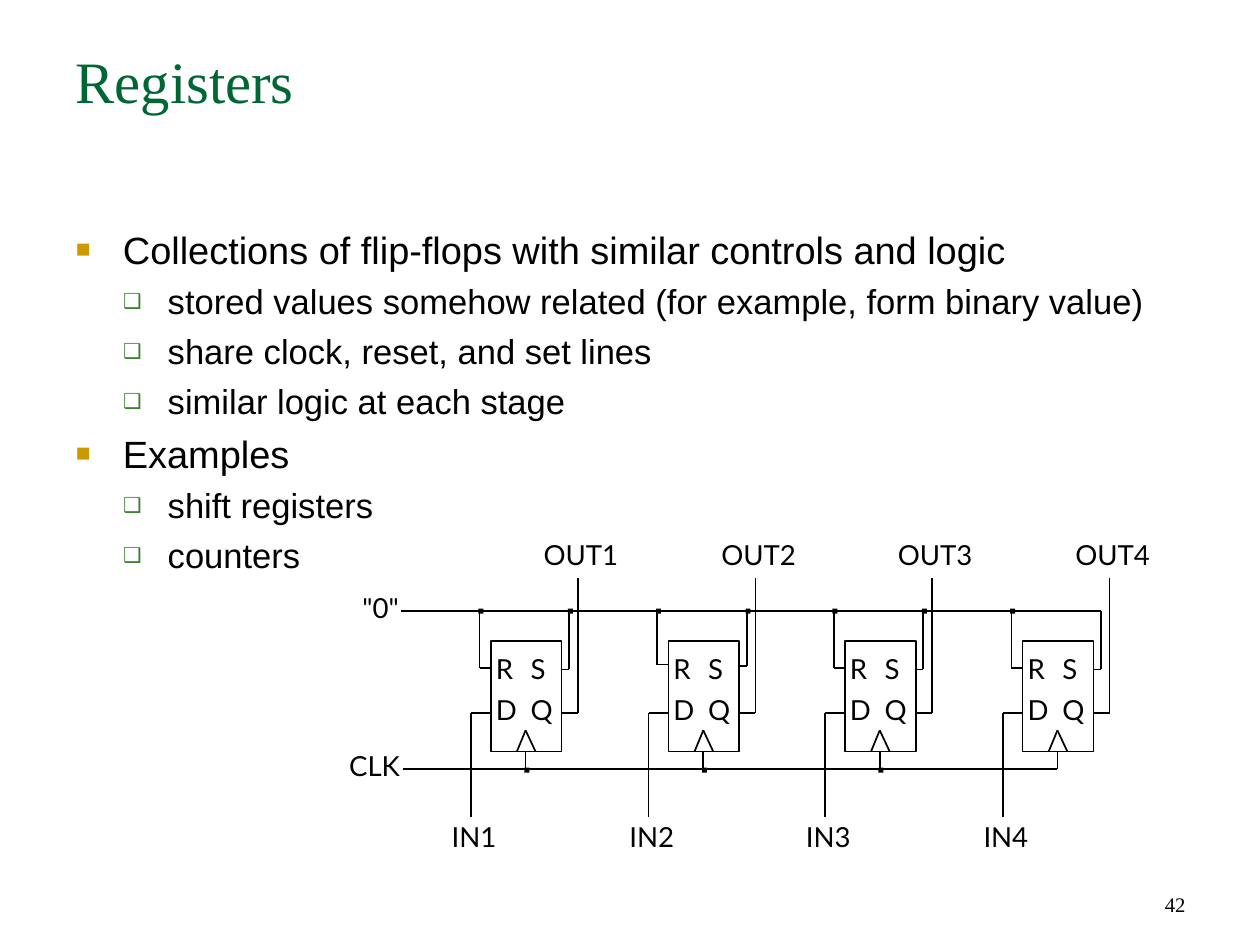
"""Builds the Registers slide: a bullet list and a four-stage register circuit."""
from lxml import etree
from pptx import Presentation
from pptx import util as u
from pptx.dml.color import RGBColor
from pptx.enum import shapes, text
from pptx.oxml import ns

BLACK = RGBColor(0x00, 0x00, 0x00)
WHITE = RGBColor(0xFF, 0xFF, 0xFF)
GREEN = RGBColor(0x00, 0x66, 0x33)
GOLD = RGBColor(0xCC, 0x99, 0x00)
LEAF = RGBColor(0x3B, 0x81, 0x2F)
LEFT, CENTER, RIGHT = text.PP_ALIGN.LEFT, text.PP_ALIGN.CENTER, text.PP_ALIGN.RIGHT

LEVELS = (
    dict(size=22, margin=0.38, hang=0.38, char="■", color=GOLD, percent=65),
    dict(size=20, margin=0.74, hang=0.36, char="❑", color=LEAF, percent=60),
)
BULLETS = (
    (0, "Collections of flip-flops with similar controls and logic"),
    (1, "stored values somehow related (for example, form binary value)"),
    (1, "share clock, reset, and set lines"),
    (1, "similar logic at each stage"),
    (0, "Examples"),
    (1, "shift registers"),
    (1, "counters"),
)
STAGES = ((3.95, 5.38), (5.38, 5.35), (6.8, 5.38), (8.23, 5.38))
ZERO_Y, CLOCK_Y, DATA_Y = 4.92, 6.19, 5.74
BOX_TOP, BOX_BOTTOM, BOX_WIDTH = 5.16, 6.05, 0.57


def write(p, content, size=16, font="Lato", color=BLACK, align=LEFT, line=None, before=0):
    p.alignment = align
    p.space_before = u.Pt(before)
    if line:
        p.line_spacing = u.Pt(line)
    r = p.add_run()
    r.text = content
    r.font.size = u.Pt(size)
    r.font.name = font
    r.font.color.rgb = color


class Deck:
    def __init__(self, width, height):
        self.prs = Presentation()
        self.prs.slide_width = u.Inches(width)
        self.prs.slide_height = u.Inches(height)
        self.s = self.prs.slides.add_slide(self.prs.slide_layouts[1])

    def place(self, sp, x, y, w, h, anchor=text.MSO_ANCHOR.TOP):
        sp.left, sp.top, sp.width, sp.height = (u.Inches(v) for v in (x, y, w, h))
        tf = sp.text_frame
        tf.auto_size = text.MSO_AUTO_SIZE.NONE
        tf.vertical_anchor = anchor
        tf.word_wrap = True
        return tf

    def title(self, content):
        tf = self.place(self.s.shapes.title, 0.51, 0.31, 9.12, 1.26)
        write(tf.paragraphs[0], content, size=34, font="Times New Roman", color=GREEN)

    def bullets(self, items):
        tf = self.place(self.s.placeholders[1], 0.51, 1.77, 9.12, 5.02)
        for i, (level, content) in enumerate(items):
            p = tf.add_paragraph() if i else tf.paragraphs[0]
            p.level = level
            write(p, content, size=LEVELS[level]["size"], font="Arial", before=5)
            self.bullet(p, LEVELS[level])

    def bullet(self, p, look):
        pPr = p._p.get_or_add_pPr()
        pPr.set("marL", str(u.Inches(look["margin"])))
        pPr.set("indent", str(-u.Inches(look["hang"])))
        color = etree.SubElement(pPr, ns.qn("a:buClr"))
        etree.SubElement(color, ns.qn("a:srgbClr"), val=str(look["color"]))
        etree.SubElement(pPr, ns.qn("a:buSzPct"), val=str(look["percent"] * 1000))
        etree.SubElement(pPr, ns.qn("a:buFont"), typeface="Arial")
        etree.SubElement(pPr, ns.qn("a:buChar"), char=look["char"])

    def page_number(self, content):
        sp = self.s.shapes.add_textbox(0, 0, 0, 0)
        tf = self.place(sp, 7.27, 6.92, 2.37, 0.51, text.MSO_ANCHOR.BOTTOM)
        write(tf.paragraphs[0], content, size=12, font="Times New Roman", align=RIGHT)

    def label(self, content, x, y, w=0.27, align=LEFT):
        tf = self.place(self.s.shapes.add_textbox(0, 0, 0, 0), x, y, w, 0.38)
        tf.word_wrap = False
        tf.margin_left = tf.margin_right = u.Inches(0.02)
        tf.margin_top = tf.margin_bottom = u.Inches(0.03)
        write(tf.paragraphs[0], content, align=align, line=17)

    def box(self, x, y, w, h, fill=WHITE, outlined=True):
        sp = self.s.shapes.add_shape(
            shapes.MSO_SHAPE.RECTANGLE, *(u.Inches(v) for v in (x, y, w, h)))
        sp.shadow.inherit = False
        sp.fill.solid()
        sp.fill.fore_color.rgb = fill
        if outlined:
            sp.line.color.rgb = BLACK
            sp.line.width = u.Pt(1)
        else:
            sp.line.fill.background()

    def dot(self, x, y):
        self.box(x - 0.01, y - 0.02, 0.04, 0.04, BLACK, outlined=False)

    def wire(self, *points):
        for start, end in zip(points, points[1:]):
            c = self.s.shapes.add_connector(
                shapes.MSO_CONNECTOR.STRAIGHT, *(u.Inches(v) for v in start + end))
            c.line.color.rgb = BLACK
            c.line.width = u.Pt(1)
            etree.SubElement(c._element.spPr, ns.qn("a:effectLst"))

    def flip_flop(self, number, x, reset_y, last):
        right, clock_x = x + BOX_WIDTH, x + 0.28
        reset_x, set_x = x - 0.09, x + 0.63
        in_x, out_x = x - 0.16, x + 0.7
        set_y = reset_y + 0.01

        self.box(x, BOX_TOP, BOX_WIDTH, BOX_BOTTOM - BOX_TOP)
        for name, dx, y in (("R", 0.02, 5.25), ("S", 0.3, 5.25),
                            ("D", 0.02, 5.58), ("Q", 0.3, 5.58)):
            self.label(name, x + dx, y)
        self.wire((x + 0.21, BOX_BOTTOM), (clock_x, 5.88), (x + 0.36, BOX_BOTTOM))
        self.wire((clock_x, BOX_BOTTOM), (clock_x, CLOCK_Y))

        self.wire((x, reset_y), (reset_x, reset_y), (reset_x, ZERO_Y))
        self.wire((right, set_y), (set_x, set_y), (set_x, ZERO_Y))
        self.wire((x, DATA_Y), (in_x, DATA_Y), (in_x, 6.58))
        self.wire((right, DATA_Y), (out_x, DATA_Y), (out_x, 4.65))

        self.label(f"OUT{number}", x + 0.33, 4.33, 0.79, CENTER)
        self.label(f"IN{number}", x - 0.53, 6.6, 0.79, CENTER)
        self.dot(reset_x, ZERO_Y)
        if not last:
            self.dot(set_x, ZERO_Y)
            self.dot(clock_x, CLOCK_Y + 0.01)

    def register(self, stages):
        for number, (x, reset_y) in enumerate(stages, 1):
            self.flip_flop(number, x, reset_y, number == len(stages))
        last_x = stages[-1][0]
        self.wire((3.23, ZERO_Y), (last_x + 0.63, ZERO_Y))
        self.wire((3.24, CLOCK_Y), (last_x + 0.28, CLOCK_Y))
        self.label('"0"', 2.67, 4.76, 0.56, RIGHT)
        self.label("CLK", 2.68, 6.03, 0.56, RIGHT)


deck = Deck(10.14, 7.6)
deck.title("Registers")
deck.bullets(BULLETS)
deck.register(STAGES)
deck.page_number("42")
deck.prs.save("out.pptx")
